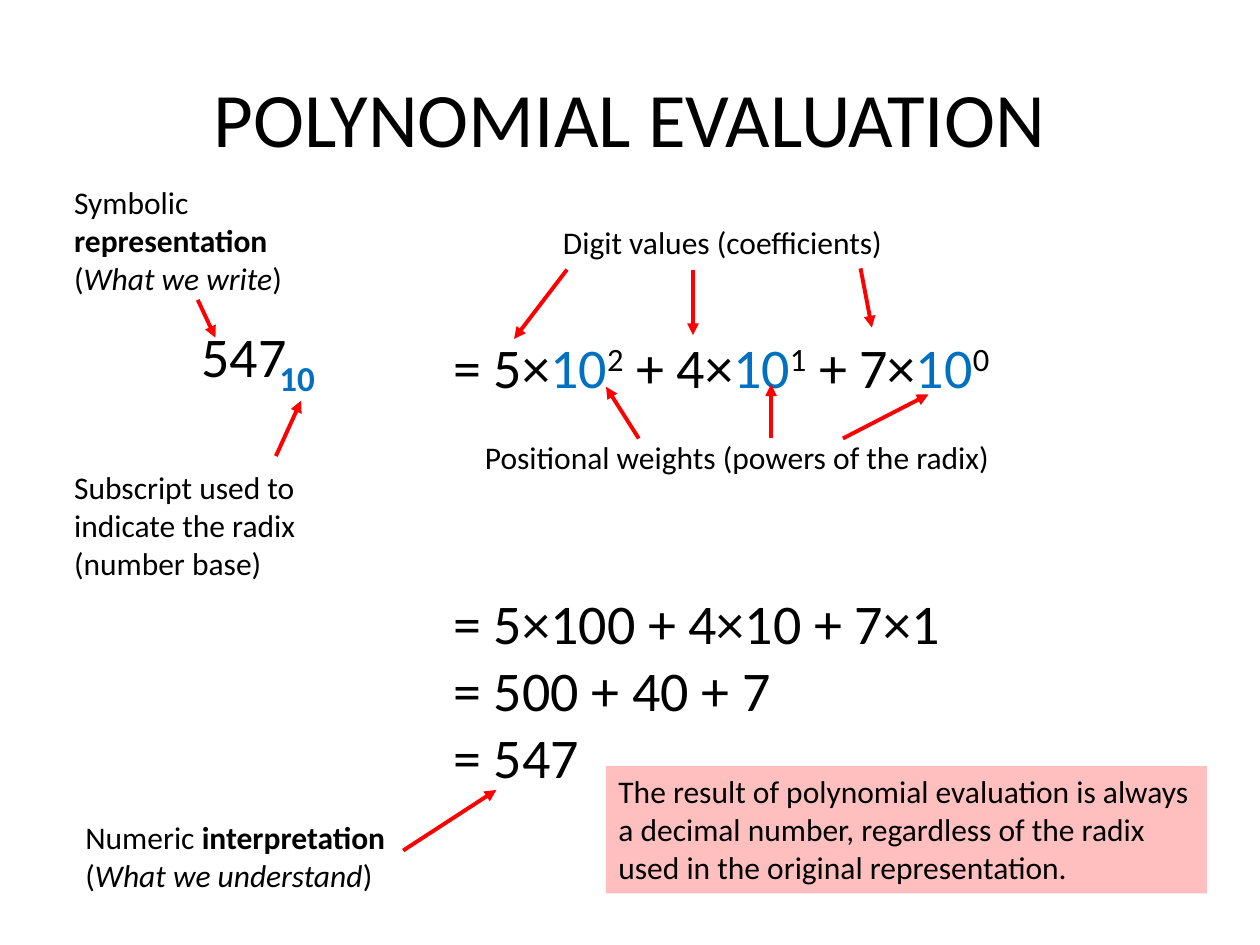
"""Build the polynomial evaluation slide."""
from lxml.etree import SubElement
from pptx import Presentation
from pptx.dml.color import RGBColor
from pptx.enum.shapes import MSO_CONNECTOR, MSO_SHAPE
from pptx.enum.text import MSO_ANCHOR, PP_ALIGN
from pptx.oxml.ns import qn
from pptx.util import Inches, Pt

BLACK, BLUE, RED = "000000", "0070C0", "FF0000"


def color(value):
    return RGBColor.from_string(value)


def write(shape, lines, size=18, anchor=MSO_ANCHOR.TOP, wrap=True):
    frame = shape.text_frame
    frame.word_wrap = wrap
    frame.vertical_anchor = anchor
    for index, line in enumerate(lines):
        paragraph = frame.add_paragraph() if index else frame.paragraphs[0]
        paragraph.alignment = PP_ALIGN.LEFT
        paragraph.font.size = Pt(size)
        paragraph.font.name = "Calibri"
        for text, style in line:
            run = paragraph.add_run()
            run.text = text
            run.font.color.rgb = color(BLUE if "blue" in style else BLACK)
            if "bold" in style:
                run.font.bold = True
            if "italic" in style:
                run.font.italic = True
            if "super" in style:
                run._r.get_or_add_rPr().set("baseline", "30000")


presentation = Presentation()
presentation.slide_width = Inches(10)
presentation.slide_height = Inches(7.5)
slide = presentation.slides.add_slide(presentation.slide_layouts[5])

title = slide.shapes.title
title.left, title.top, title.width, title.height = map(Inches, (0.5, 0.3, 9, 1.25))
title.text_frame.text = "POLYNOMIAL EVALUATION"
title.text_frame.vertical_anchor = MSO_ANCHOR.MIDDLE
heading = title.text_frame.paragraphs[0]
heading.alignment = PP_ALIGN.CENTER
heading.font.size = Pt(44)
heading.font.name = "Calibri"
heading.font.color.rgb = color(BLACK)

notes = [
    ((0.49, 1.32, 2, 1.17), [[("Symbolic ", ""), ("representation", "bold"), (" (", ""),
                              ("What we write", "italic"), (")", "")]]),
    ((0.58, 6.5, 2.67, 0.58), [[("Numeric ", ""), ("interpretation", "bold")],
                               [("(", ""), ("What we understand", "italic"), (")", "")]]),
    ((0.49, 3.73, 2.1, 0.87), [[("Subscript used to indicate the radix (number base)", "")]]),
]
for box, lines in notes:
    write(slide.shapes.add_textbox(*map(Inches, box)), lines, anchor=MSO_ANCHOR.MIDDLE)

expansion = []
for prefix, power in (("= 5×", "2"), (" + 4×", "1"), (" + 7×", "0")):
    expansion += [(prefix, ""), ("10", "blue"), (power, "super")]

steps = ["= 5×100 + 4×10 + 7×1", "= 500 + 40 + 7", "= 547"]
labels = [
    ((4.37, 1.72, 2.77, 0.4), [[("Digit values (coefficients)", "")]], 18),
    ((3.75, 3.43, 4.25, 0.4), [[("Positional weights (powers of the radix)", "")]], 18),
    ((1.5, 2.5, 1, 0.64), [[("547", "")]], 32),
    ((2.12, 2.78, 0.67, 0.44), [[("10", "blue bold")]], 20),
    ((3.5, 2.59, 4.57, 0.64), [expansion], 32),
    ((3.5, 4.62, 4.11, 1.72), [[(step, "")] for step in steps], 32),
]
for box, lines, size in labels:
    write(slide.shapes.add_textbox(*map(Inches, box)), lines, size, wrap=False)

arrows = [
    (1.57, 2.38, 1.71, 2.68), (3.2, 6.75, 3.94, 6.27), (2.19, 3.62, 2.39, 3.18),
    (4.5, 2.14, 4.08, 2.69), (5.5, 2.14, 5.5, 2.66), (6.83, 2.13, 6.92, 2.6),
    (5.07, 3.48, 4.81, 3.07), (6.12, 3.48, 6.12, 3.05), (6.69, 3.48, 7.37, 3.13),
]
for ends in arrows:
    arrow = slide.shapes.add_connector(MSO_CONNECTOR.STRAIGHT, *map(Inches, ends))
    arrow.line.color.rgb = color(RED)
    arrow.line.width = Pt(2.25)
    SubElement(arrow.line._get_or_add_ln(), qn("a:tailEnd"), type="triangle")
    SubElement(arrow._element.spPr, qn("a:effectLst"))

result = slide.shapes.add_shape(MSO_SHAPE.RECTANGLE, *map(Inches, (4.81, 6.08, 4.77, 1.01)))
result.shadow.inherit = False
result.line.fill.background()
result.fill.solid()
result.fill.fore_color.rgb = color(RED)
fill_color = result._element.spPr.find(qn("a:solidFill")).find(qn("a:srgbClr"))
SubElement(fill_color, qn("a:alpha"), val="25000")
write(result, [[("The result of polynomial evaluation is always a decimal number, "
                 "regardless of the radix used in the original representation.", "")]])

presentation.save("out.pptx")
